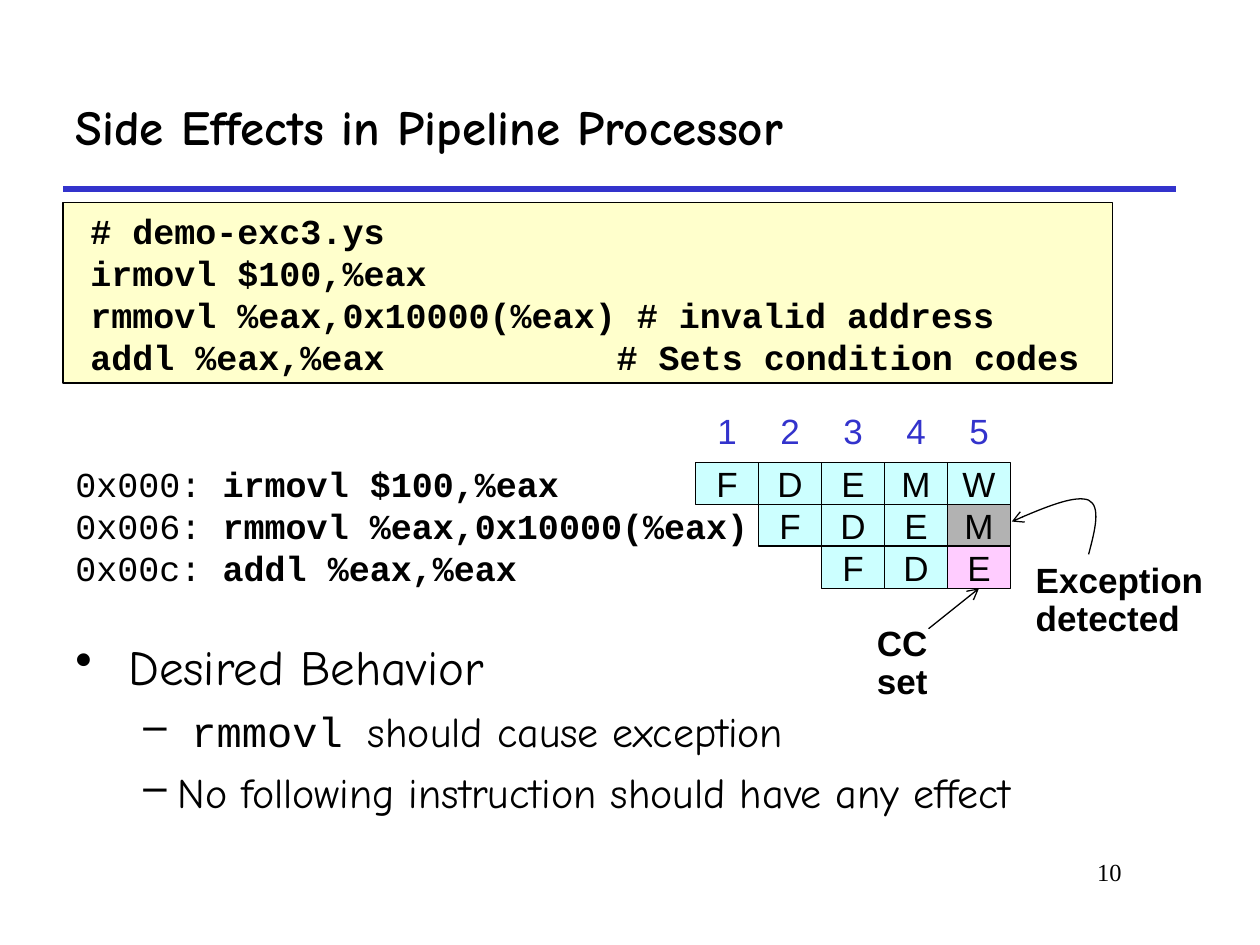
from lxml import etree
from pptx import Presentation, util as u
from pptx.dml.color import RGBColor
from pptx.enum import shapes, text
from pptx.oxml import ns

COL, ROW = 0.5, 1 / 3          # pipeline grid, inches
GRID_X, GRID_Y = 5.52, 3.67
MONO, SANS, HAND = "Courier New", "Arial", "Comic Neue"
rgb = RGBColor.from_string


def write(p, words, size=20, font=SANS, color="000000", bold=False):
    r = p.add_run()
    r.text = words
    r.font.size, r.font.name, r.font.bold = u.Pt(size), font, bold
    r.font.color.rgb = rgb(color)


def box(x, y, w, h, fill=None, line=None, inset=0.1, wrap=False):
    """Add a rectangle (or a plain text box when unfilled); return it and its first paragraph."""
    at = [u.Inches(v) for v in (x, y, w, h)]
    if fill:
        sp = s.shapes.add_shape(shapes.MSO_SHAPE.RECTANGLE, *at)
        sp.shadow.inherit = False
        sp.fill.solid()
        sp.fill.fore_color.rgb = rgb(fill)
        if line:
            sp.line.color.rgb = rgb("000000")
            sp.line.width = u.Pt(line)
        else:
            sp.line.fill.background()
    else:
        sp = s.shapes.add_textbox(*at)
    tf = sp.text_frame
    tf.word_wrap = wrap
    tf.margin_left = tf.margin_right = u.Inches(inset)
    tf.margin_top = tf.margin_bottom = u.Inches(0.05)
    tf.vertical_anchor = text.MSO_ANCHOR.MIDDLE if fill else text.MSO_ANCHOR.TOP
    tf.paragraphs[0].alignment = text.PP_ALIGN.LEFT
    return sp, tf.paragraphs[0]


prs = Presentation()
prs.slide_width, prs.slide_height = u.Inches(10), u.Inches(7.5)
s = prs.slides.add_slide(prs.slide_layouts[5])

# Title, rule and page number
title = s.shapes.title
title.left, title.top, title.width, title.height = (u.Inches(v) for v in (0.5, 0.5, 8.83, 1))
title.text_frame.vertical_anchor = text.MSO_ANCHOR.MIDDLE
p = title.text_frame.paragraphs[0]
p.alignment = text.PP_ALIGN.LEFT
write(p, "Side Effects in Pipeline Processor", 28, HAND, bold=True)

rule = s.shapes.add_connector(shapes.MSO_CONNECTOR.STRAIGHT, u.Inches(0.5), u.Inches(1.5),
                              u.Inches(9.33), u.Inches(1.5))
rule.line.color.rgb = rgb("3333CC")
rule.line.width = u.Pt(3)

sp, p = box(7.58, 6.75, 1.42, 0.5, wrap=True)
p.alignment = text.PP_ALIGN.RIGHT
write(p, "10", 14, "Times New Roman")

# Desired behavior: (margin, hanging indent, bullet, runs)
sp, p = box(0.5, 5, 9.08, 1.75, wrap=True)
bullets = [
    (0.42, 0.42, "•", [("Desired Behavior", 28, HAND)]),
    (0.81, 0.27, "–", [(" ", 24, HAND), ("rmmovl ", 24, MONO),
                       ("should cause exception", 24, HAND)]),
    (0.81, 0.27, "–", [("No following instruction should have any effect", 24, HAND)]),
]
for i, (margin, hang, mark, runs) in enumerate(bullets):
    if i:
        p = sp.text_frame.add_paragraph()
        p.level = 1
    pPr = p._p.get_or_add_pPr()
    pPr.set("marL", str(u.Inches(margin)))
    pPr.set("indent", str(-u.Inches(hang)))
    etree.SubElement(pPr, ns.qn("a:buChar")).set("char", mark)
    if i:
        p.space_before = u.Pt(6)
    for run in runs:
        write(p, *run)

# Source code
sp, p = box(0.5, 1.61, 8.33, 1.43, "FFFFCC", 0.75, inset=0.05, wrap=True)
sp.text_frame.vertical_anchor = text.MSO_ANCHOR.TOP
code = [" # demo-exc3.ys", " irmovl $100,%eax",
        " rmmovl %eax,0x10000(%eax) # invalid address",
        " addl %eax,%eax\t        # Sets condition codes"]
for i, words in enumerate(code):
    if i:
        p = sp.text_frame.add_paragraph()
    p.alignment = text.PP_ALIGN.LEFT
    tabs = etree.SubElement(p._p.get_or_add_pPr(), ns.qn("a:tabLst"))
    etree.SubElement(tabs, ns.qn("a:tab"), pos=str(u.Inches(3.01)), algn="l")
    write(p, words, font=MONO, bold=True)

# Instructions and their pipeline stages, each starting one cycle later
program = [("0x000: ", "irmovl $100,%eax", "FDEMW"),
           ("0x006: ", "rmmovl %eax,0x10000(%eax)", "FDEM"),
           ("0x00c: ", "addl %eax,%eax", "FDE")]
special = {(1, 4): "B2B2B2", (2, 4): "FFCCFF"}
for row, (address, instruction, stages) in enumerate(program):
    y = GRID_Y + row * ROW
    sp, p = box(0.5, y, 2.84, ROW, "FFFFFF")
    write(p, address, font=MONO)
    write(p, instruction, font=MONO, bold=True)
    for col, stage in enumerate(stages, row):
        cell, p = box(GRID_X + col * COL, y, COL, ROW, special.get((row, col), "CCFFFF"), 1)
        p.alignment = text.PP_ALIGN.CENTER
        write(p, stage)
for col in range(5):
    sp, p = box(GRID_X + col * COL, 3.25, COL, ROW, "FFFFFF")
    p.alignment = text.PP_ALIGN.CENTER
    write(p, str(col + 1), color="3333CC")

# Callouts
sp, p = box(8.17, 4.42, 1.58, 0.7, inset=0.05, wrap=True)
p.line_spacing = 0.9
write(p, "Exception detected", bold=True)
sp, p = box(6.67, 4.92, 0.98, 0.4, inset=0.05)
p.alignment = text.PP_ALIGN.CENTER
p.line_spacing = 0.9
write(p, "CC set", bold=True)

cc_arrow = s.shapes.add_connector(shapes.MSO_CONNECTOR.STRAIGHT, u.Inches(7.37), u.Inches(4.99),
                                  u.Inches(7.77), u.Inches(4.67))
cc_arrow.end_connect(cell, 2)  # the last cell drawn is the E stage of addl

# Curved arrow: every three points become one cubic Bezier segment
fb = s.shapes.build_freeform(864, 440, scale=u.Inches(0.01))
fb.add_line_segments([(869, 421), (874, 402), (864, 397),
                      (854, 393), (828, 403), (803, 414)], close=False)
curve = fb.convert_to_shape()
curve.shadow.inherit = False
curve.fill.background()
steps = list(curve._element.iter(ns.qn("a:lnTo")))
outline = steps[0].getparent()
for i in range(0, len(steps), 3):
    bezier = etree.SubElement(outline, ns.qn("a:cubicBezTo"))
    for step in steps[i:i + 3]:
        bezier.append(step[0])
        outline.remove(step)

for arrow in (cc_arrow, curve):
    arrow.line.color.rgb = rgb("000000")
    arrow.line.width = u.Pt(0.75)
    etree.SubElement(arrow.line._get_or_add_ln(), ns.qn("a:tailEnd")).set("type", "arrow")
for line in (rule, cc_arrow):
    etree.SubElement(line._element.spPr, ns.qn("a:effectLst"))

prs.save("out.pptx")
